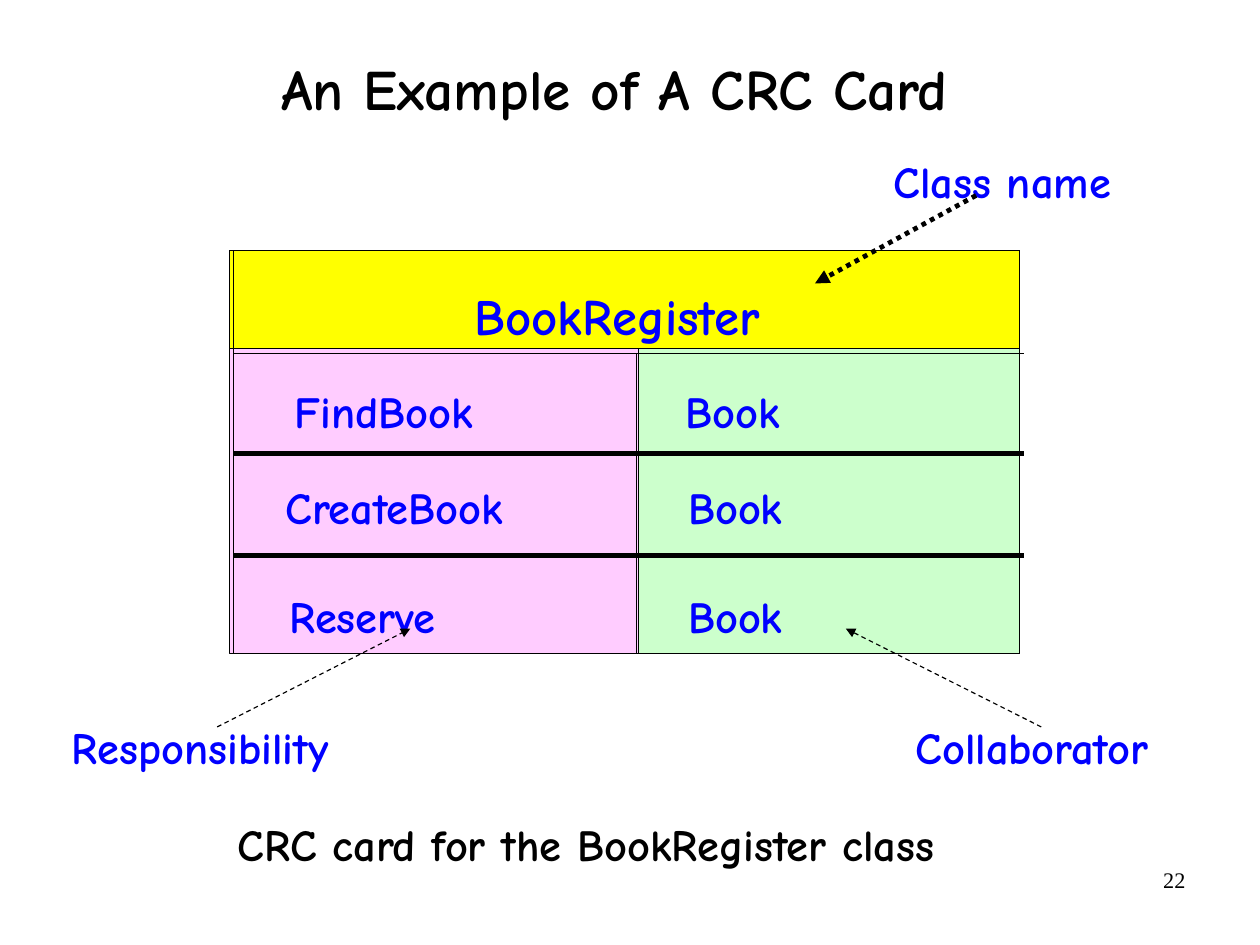
import pptx
import pptx.util
import pptx.dml.color
import pptx.enum.dml
import pptx.enum.shapes
import pptx.enum.text
import pptx.oxml.ns
from dataclasses import dataclass
from lxml import etree

Inches = pptx.util.Inches
Pt = pptx.util.Pt
Dash = pptx.enum.dml.MSO_LINE
Align = pptx.enum.text.PP_ALIGN

HUES = {"black": "000000", "blue": "0000FF", "yellow": "FFFF00",
        "pink": "FFCCFF", "green": "CCFFCC"}
FONT = "Comic Neue"


@dataclass
class Box:
    left: float
    top: float
    width: float
    height: float
    fill: str | None = None


@dataclass
class Line:
    start: tuple[float, float]
    end: tuple[float, float]
    weight: float = 0.75
    dash: Dash | None = None
    arrow: bool = False


@dataclass
class Label:
    text: str
    left: float
    top: float
    width: float
    height: float = 0.58
    size: int = 28
    hue: str = "blue"
    wrap: bool = False


def color(name: str) -> pptx.dml.color.RGBColor:
    return pptx.dml.color.RGBColor.from_string(HUES[name])


def write(frame, text: str, *, size: int = 28, hue: str = "black",
          font: str = FONT, bold: bool = True, align=Align.LEFT,
          pad: tuple[float, float] = (0.11, 0.06), wrap: bool = False) -> None:
    frame.word_wrap = wrap
    frame.margin_left = frame.margin_right = Inches(pad[0])
    frame.margin_top = frame.margin_bottom = Inches(pad[1])
    para = frame.paragraphs[0]
    para.alignment = align
    run = para.add_run()
    run.text = text
    run.font.name = font
    run.font.size = Pt(size)
    run.font.bold = bold
    run.font.color.rgb = color(hue)


def draw_box(shapes, box: Box) -> None:
    shape = shapes.add_shape(
        pptx.enum.shapes.MSO_SHAPE.RECTANGLE, Inches(box.left),
        Inches(box.top), Inches(box.width), Inches(box.height))
    shape.shadow.inherit = False
    if box.fill:
        shape.fill.solid()
        shape.fill.fore_color.rgb = color(box.fill)
    else:
        shape.fill.background()
    shape.line.color.rgb = color("black")
    shape.line.width = Pt(0.75)


def draw_line(shapes, line: Line) -> None:
    link = shapes.add_connector(
        pptx.enum.shapes.MSO_CONNECTOR.STRAIGHT,
        *(Inches(v) for v in line.start + line.end))
    link.line.color.rgb = color("black")
    link.line.width = Pt(line.weight)
    if line.dash:
        link.line.dash_style = line.dash
    name = pptx.oxml.ns.qn
    if line.arrow:
        etree.SubElement(link.line._get_or_add_ln(), name("a:tailEnd"),
                         type="triangle")
    etree.SubElement(link._element.spPr, name("a:effectLst"))


def draw_label(shapes, label: Label) -> None:
    box = shapes.add_textbox(Inches(label.left), Inches(label.top),
                             Inches(label.width), Inches(label.height))
    write(box.text_frame, label.text, size=label.size, hue=label.hue,
          wrap=label.wrap)
    box.text_frame.auto_size = pptx.enum.text.MSO_AUTO_SIZE.SHAPE_TO_FIT_TEXT


BOXES = [
    Box(5.59, 3.05, 3.33, 2.67, "green"),
    Box(2.01, 3.05, 3.58, 2.67, "pink"),
    Box(2.01, 2.19, 6.91, 0.86, "yellow"),
    Box(2.04, 2.19, 6.88, 3.53),
]

# Row rules from edge to edge, then the column rule
RULES = [Line((2.04, y), (8.96, y), weight)
         for y, weight in ((3.09, 0.75), (3.97, 3), (4.86, 3))]
RULES.append(Line((5.57, 3.09), (5.57, 5.72)))

LABELS = [
    Label("CRC card for the BookRegister class", 1.97, 7.09, 6.34,
          hue="black"),
    Label("BookRegister", 4.04, 2.43, 2.73, 0.64, 32),
    Label("FindBook", 2.47, 3.3, 1.82),
    Label("CreateBook", 2.39, 4.14, 2.14),
    Label("Reserve", 2.42, 5.09, 1.52),
    Label("Book", 5.89, 3.3, 3.23, wrap=True),
    *(Label("Book", 5.91, top, 1.06) for top in (4.14, 5.09)),
    Label("Responsibility", 0.52, 6.24, 2.47),
    Label("Collaborator", 7.9, 6.24, 2.28),
    Label("Class name", 7.71, 1.29, 2.12),
]

ARROWS = [
    Line((1.9, 6.36), (3.59, 5.5), dash=Dash.DASH, arrow=True),
    Line((9.11, 6.36), (7.4, 5.5), dash=Dash.DASH, arrow=True),
    Line((8.54, 1.71), (7.13, 2.48), 3, Dash.ROUND_DOT, True),
]


def main() -> None:
    deck = pptx.Presentation()
    # The page is metric: 28 by 21 cm
    deck.slide_width = pptx.util.Cm(28)
    deck.slide_height = pptx.util.Cm(21)
    slide = deck.slides.add_slide(deck.slide_layouts[5])
    shapes = slide.shapes

    # Title
    title = shapes.title
    title.left, title.top = Inches(0.69), Inches(0.11)
    title.width, title.height = Inches(9.37), Inches(1.37)
    write(title.text_frame, "An Example of A CRC Card", size=36,
          align=Align.CENTER, pad=(0.02, 0.06), wrap=True)
    title.text_frame.vertical_anchor = pptx.enum.text.MSO_ANCHOR.MIDDLE
    title.text_frame.paragraphs[0].line_spacing = 0.94

    # Page number
    page = shapes.add_textbox(Inches(7.9), Inches(7.53),
                              Inches(2.57), Inches(0.57))
    write(page.text_frame, "22", size=14, font="Times New Roman", bold=False,
          align=Align.RIGHT, pad=(0.1, 0.05), wrap=True)

    # Card, its words, and the arrows that point at its parts
    for box in BOXES:
        draw_box(shapes, box)
    for rule in RULES:
        draw_line(shapes, rule)
    for label in LABELS:
        draw_label(shapes, label)
    for arrow in ARROWS:
        draw_line(shapes, arrow)

    deck.save("out.pptx")


if __name__ == "__main__":
    main()
